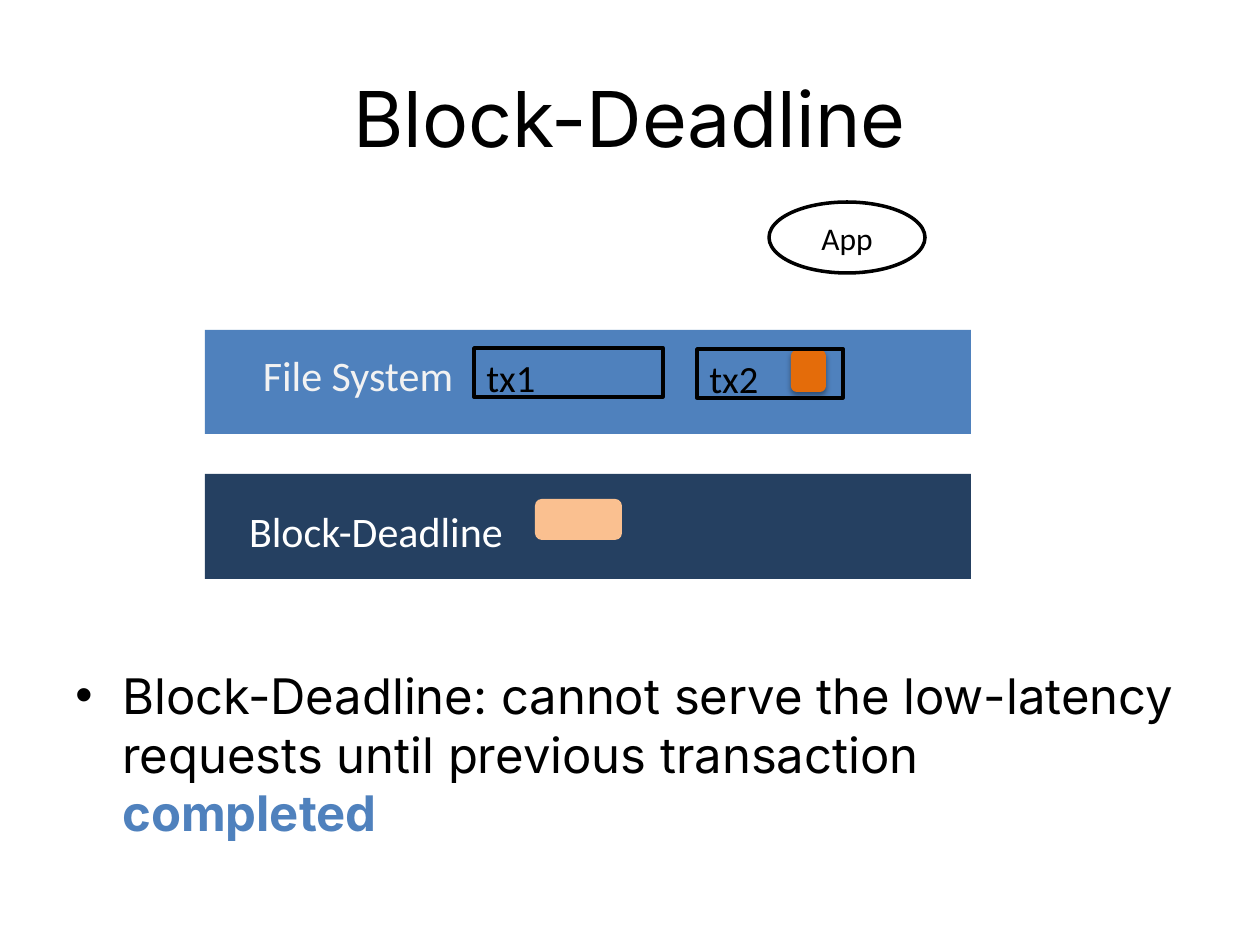
"""Build the Block-Deadline slide."""
import lxml.etree
import pptx
import pptx.dml.color
import pptx.enum.shapes
import pptx.enum.text
import pptx.oxml
import pptx.oxml.ns
import pptx.util

RGB = pptx.dml.color.RGBColor
SHAPE = pptx.enum.shapes.MSO_SHAPE
ALIGN = pptx.enum.text.PP_ALIGN
ANCHOR = pptx.enum.text.MSO_ANCHOR

PIXEL = 914400 // 126
BLACK = RGB(0x00, 0x00, 0x00)
WHITE = RGB(0xFF, 0xFF, 0xFF)
PALE = RGB(0xF2, 0xF2, 0xF2)
BLUE = RGB(0x4F, 0x81, 0xBD)
NAVY = RGB(0x25, 0x40, 0x61)
ORANGE = RGB(0xE4, 0x6C, 0x0A)
PEACH = RGB(0xFA, 0xC0, 0x90)

SHADOW = (
    '<a:effectLst %s><a:outerShdw blurRad="39370" dist="20320" dir="5400000" '
    'rotWithShape="0"><a:srgbClr val="000000"><a:alpha val="38000"/></a:srgbClr>'
    '</a:outerShdw></a:effectLst>' % pptx.oxml.ns.nsdecls("a")
)


def px(*lengths):
    """Turn pixel lengths into EMU."""
    return [pptx.util.Emu(length * PIXEL) for length in lengths]


def add_run(paragraph, text, size, font="Calibri", color=BLACK, bold=False):
    """Append a formatted run to a paragraph."""
    run = paragraph.add_run()
    run.text = text
    run.font.size = pptx.util.Pt(size)
    run.font.name = font
    run.font.color.rgb = color
    run.font.bold = bold


def write(target, text, size, align=ALIGN.CENTER, anchor=ANCHOR.MIDDLE, **style):
    """Write one formatted paragraph into a shape and return it."""
    frame = target.text_frame
    frame.word_wrap = True
    frame.vertical_anchor = anchor
    paragraph = frame.paragraphs[0]
    paragraph.alignment = align
    add_run(paragraph, text, size, **style)
    return paragraph


def add_text(slide, box, text, size, **style):
    """Add a text box and return its paragraph."""
    return write(slide.shapes.add_textbox(*px(*box)), text, size, **style)


def add_block(slide, kind, box, fill=None, line=None):
    """Add a preset shape with optional fill and outline."""
    block = slide.shapes.add_shape(kind, *px(*box))
    block.shadow.inherit = False
    if fill is None:
        block.fill.background()
    else:
        block.fill.solid()
        block.fill.fore_color.rgb = fill
    if line is None:
        block.line.fill.background()
    else:
        block.line.color.rgb = line
        block.line.width = pptx.util.Pt(2)
    return block


def add_shadow(block):
    """Give a shape a soft shadow below it."""
    properties = block.element.spPr
    properties.remove(properties.find(pptx.oxml.ns.qn("a:effectLst")))
    properties.append(pptx.oxml.parse_xml(SHADOW))


def add_bullet(paragraph, indent):
    """Give a paragraph a hanging bullet and proportional space before."""
    properties = paragraph._p.get_or_add_pPr()
    properties.set("marL", str(indent * PIXEL))
    properties.set("indent", str(-indent * PIXEL))
    qn = pptx.oxml.ns.qn
    before = lxml.etree.SubElement(properties, qn("a:spcBef"))
    lxml.etree.SubElement(before, qn("a:spcPct")).set("val", "20000")
    paragraph.space_after = pptx.util.Pt(36)
    lxml.etree.SubElement(properties, qn("a:buFont")).set("typeface", "Arial")
    lxml.etree.SubElement(properties, qn("a:buChar")).set("char", "\u2022")


def add_transaction(slide, name, box, label_width):
    """Add an outlined transaction with its name at the left."""
    left, top = box[:2]
    add_block(slide, SHAPE.RECTANGLE, box, line=BLACK)
    add_text(slide, (left, top, label_width, 59), name, 22,
             align=ALIGN.LEFT, anchor=ANCHOR.TOP)


def main():
    """Build and save the slide."""
    deck = pptx.Presentation()
    deck.slide_width, deck.slide_height = px(1260, 945)
    slide = deck.slides.add_slide(deck.slide_layouts[6])

    add_text(slide, (63, 38, 1134, 158), "Block-Deadline", 44, font="Inter")
    summary = add_text(
        slide, (63, 659, 1134, 207),
        "Block-Deadline: cannot serve the low-latency requests until previous transaction ",
        28, font="Inter", align=ALIGN.LEFT, anchor=ANCHOR.TOP)
    add_run(summary, "completed", 28, font="Inter", color=BLUE, bold=True)
    add_bullet(summary, 47)

    add_block(slide, SHAPE.RECTANGLE, (205, 330, 766, 104), BLUE)
    file_system = add_block(slide, SHAPE.RECTANGLE, (218, 343, 280, 63), BLUE)
    write(file_system, "File System", 24, color=PALE)
    urgent_request = add_block(slide, SHAPE.ROUNDED_RECTANGLE, (791, 350, 35, 42), ORANGE)
    add_shadow(urgent_request)

    add_block(slide, SHAPE.RECTANGLE, (205, 474, 766, 105), NAVY)
    add_text(slide, (218, 499, 316, 63), "Block-Deadline", 24, color=WHITE)
    add_block(slide, SHAPE.ROUNDED_RECTANGLE, (535, 499, 87, 41), PEACH)

    app = add_block(slide, SHAPE.OVAL, (769, 202, 156, 71), WHITE, BLACK)
    write(app, "App", 18)
    add_transaction(slide, "tx1", (474, 348, 189, 49), 76)
    add_transaction(slide, "tx2", (697, 349, 146, 49), 94)

    deck.save("out.pptx")


main()
